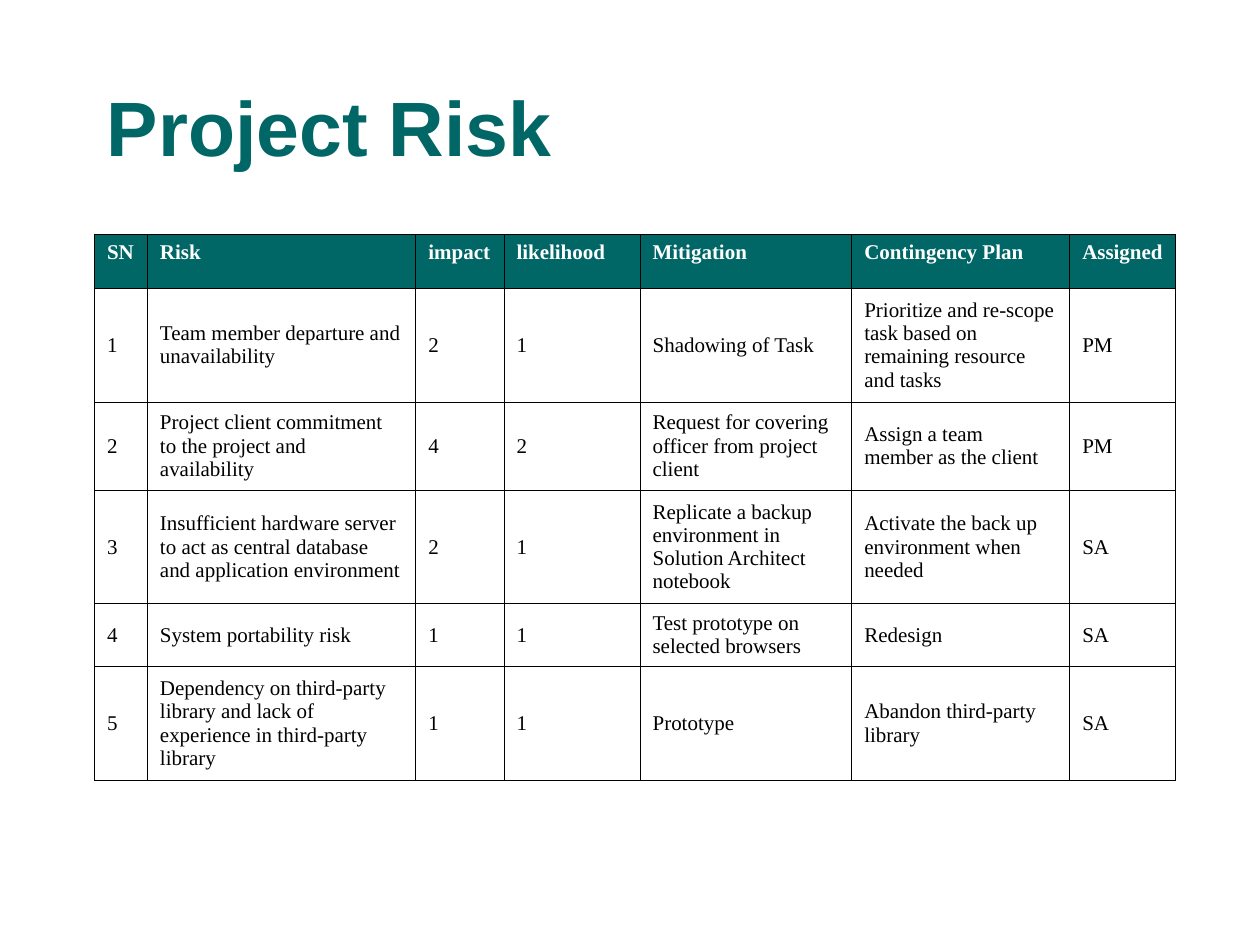
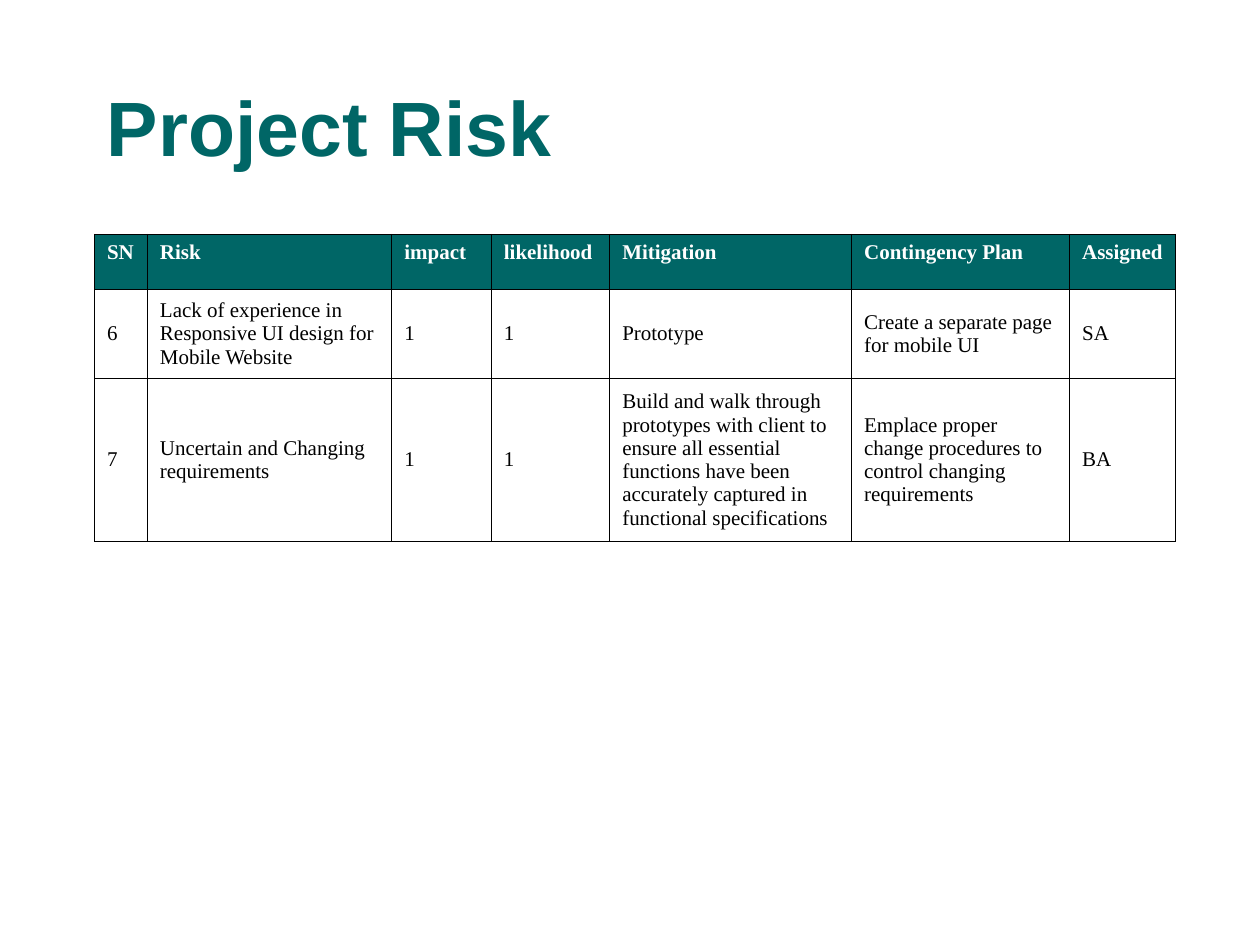
from dataclasses import dataclass

from lxml.etree import SubElement
from pptx import Presentation
from pptx.dml.color import RGBColor
from pptx.enum.text import MSO_ANCHOR as Anchor, PP_ALIGN as Align
from pptx.oxml.ns import qn
from pptx.util import Inches, Pt


@dataclass(frozen=True)
class Theme:
    accent: str = "006666"
    ink: str = "000000"
    paper: str = "FFFFFF"
    title_font: str = "Arial"
    table_font: str = "Times New Roman"
    title_size: float = 44
    table_size: float = 12
    border_width: float = 0.45


@dataclass(frozen=True)
class RiskPage:
    column_widths: tuple[float, ...]
    header_height: float
    row_heights: tuple[float, ...]
    risks: tuple[tuple[str, ...], ...]


THEME = Theme()
TITLE = "Project Risk"
LEFT, CONTENT_WIDTH = 0.75, 8.58
TITLE_TOP, TITLE_HEIGHT = 0.52, 0.96
TABLE_TOP = 1.86
HEADINGS = ("SN", "Risk", "impact", "likelihood", "Mitigation", "Contingency Plan", "Assigned")

PAGES = (
    RiskPage(
        column_widths=(0.42, 2.13, 0.7, 1.08, 1.68, 1.73, 0.84),
        header_height=0.43,
        row_heights=(0.9, 0.7, 0.9, 0.5, 0.9),
        risks=(
            ("1", "Team member departure and unavailability", "2", "1", "Shadowing of Task",
             "Prioritize and re-scope task based on remaining resource and tasks", "PM"),
            ("2", "Project client commitment to the project and availability", "4", "2",
             "Request for covering officer from project client",
             "Assign a team member as the client", "PM"),
            ("3", "Insufficient hardware server to act as central database and application environment",
             "2", "1", "Replicate a backup environment in Solution Architect notebook",
             "Activate the back up environment when needed", "SA"),
            ("4", "System portability risk", "1", "1", "Test prototype on selected browsers",
             "Redesign", "SA"),
            ("5", "Dependency on third-party library and lack of experience in third-party library",
             "1", "1", "Prototype", "Abandon third-party library", "SA"),
        ),
    ),
    RiskPage(
        column_widths=(0.42, 1.94, 0.79, 0.94, 1.92, 1.73, 0.84),
        header_height=0.44,
        row_heights=(0.7, 1.3),
        risks=(
            ("6", "Lack of experience in Responsive UI design for Mobile Website", "1", "1",
             "Prototype", "Create a separate page for mobile UI", "SA"),
            ("7", "Uncertain and Changing requirements", "1", "1",
             "Build and walk through prototypes with client to ensure all essential functions "
             "have been accurately captured in functional specifications",
             "Emplace proper change procedures to control changing requirements", "BA"),
        ),
    ),
)


def write(frame, text: str, *, font: str, size: float, color: str,
          bold: bool = False, align: Align = Align.LEFT) -> None:
    para = frame.paragraphs[0]
    para.alignment = align
    span = para.add_run()
    span.text = text
    span.font.name = font
    span.font.size = Pt(size)
    span.font.bold = bold
    span.font.color.rgb = RGBColor.from_string(color)


def add_borders(cell) -> None:
    """Line all four sides; must run before the fill is set."""
    properties = cell._tc.get_or_add_tcPr()
    for side in ("lnL", "lnR", "lnT", "lnB"):
        line = SubElement(properties, qn(f"a:{side}"), w=str(Pt(THEME.border_width)))
        fill = SubElement(line, qn("a:solidFill"))
        SubElement(fill, qn("a:srgbClr"), val=THEME.ink)


def add_title(page) -> None:
    box = page.shapes.add_textbox(Inches(LEFT), Inches(TITLE_TOP),
                                  Inches(CONTENT_WIDTH), Inches(TITLE_HEIGHT))
    frame = box.text_frame
    frame.word_wrap = True
    frame.vertical_anchor = Anchor.MIDDLE
    write(frame, TITLE, font=THEME.title_font, size=THEME.title_size,
          color=THEME.accent, bold=True)


def format_cell(cell, text: str, *, header: bool) -> None:
    add_borders(cell)
    if header:
        cell.fill.solid()
        cell.fill.fore_color.rgb = RGBColor.from_string(THEME.accent)
    else:
        cell.fill.background()
    cell.vertical_anchor = Anchor.TOP if header else Anchor.MIDDLE
    write(cell.text_frame, text, font=THEME.table_font, size=THEME.table_size,
          color=THEME.paper if header else THEME.ink, bold=header,
          align=Align.JUSTIFY if header and text != "Mitigation" else Align.LEFT)


def add_risk_table(page, content: RiskPage) -> None:
    rows = (HEADINGS, *content.risks)
    heights = (content.header_height, *content.row_heights)
    table = page.shapes.add_table(
        len(rows), len(HEADINGS), Inches(LEFT), Inches(TABLE_TOP),
        Inches(CONTENT_WIDTH), Inches(sum(heights))).table
    table.first_row = table.horz_banding = False
    for column, width in zip(table.columns, content.column_widths):
        column.width = Inches(width)
    for index, (row, height, texts) in enumerate(zip(table.rows, heights, rows)):
        row.height = Inches(height)
        for cell, text in zip(row.cells, texts):
            format_cell(cell, text, header=index == 0)


def main() -> None:
    deck = Presentation()
    deck.slide_width, deck.slide_height = Inches(10), Inches(7.5)
    for content in PAGES:
        page = deck.slides.add_slide(deck.slide_layouts[6])
        add_title(page)
        add_risk_table(page, content)
    deck.save("out.pptx")


if __name__ == "__main__":
    main()
